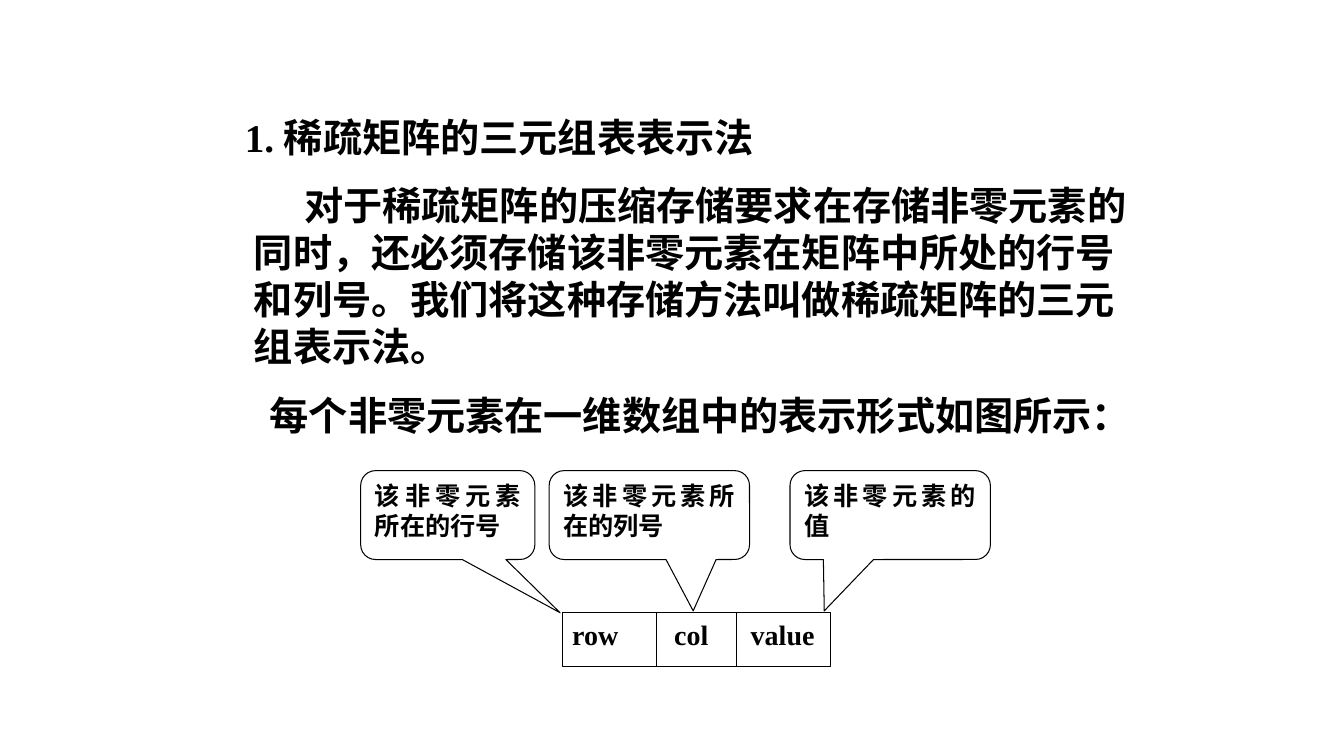
from lxml import etree
from pptx import Presentation
from pptx.dml.color import RGBColor
from pptx.enum.shapes import MSO_CONNECTOR, MSO_SHAPE
from pptx.enum.text import MSO_ANCHOR, PP_ALIGN
from pptx.oxml.ns import qn
from pptx.util import Cm, Pt

LEFT = PP_ALIGN.LEFT
JUSTIFY = PP_ALIGN.JUSTIFY
TOP = MSO_ANCHOR.TOP
RECTANGLE = MSO_SHAPE.RECTANGLE
CALLOUT = MSO_SHAPE.ROUNDED_RECTANGULAR_CALLOUT
STRAIGHT = MSO_CONNECTOR.STRAIGHT


def color(value):
    return RGBColor.from_string(value)


def write(frame, text, font="Times New Roman", size=28, bold=True, ink="000000",
          align=LEFT, indent=0, tabs=()):
    frame.word_wrap = True
    frame.vertical_anchor = TOP
    paragraph = frame.paragraphs[0]
    properties = paragraph._p.get_or_add_pPr()
    if indent:
        properties.set("indent", str(Cm(indent)))
    if tabs:
        tab_list = etree.SubElement(properties, qn("a:tabLst"))
        for position in tabs:
            etree.SubElement(tab_list, qn("a:tab"), pos=str(Cm(position)), algn="l")
    paragraph.alignment = align
    run = paragraph.add_run()
    run.text = text
    run.font.name = font
    run.font.size = Pt(size)
    run.font.bold = bold
    run.font.color.rgb = color(ink)


class SlideBuilder:
    ink = "000000"
    paper = "FFFFFF"
    line_width = 0.75

    def __init__(self, slide):
        self.slide = slide

    def text(self, left, top, width, height, text, **style):
        box = self.slide.shapes.add_textbox(Cm(left), Cm(top), Cm(width), Cm(height))
        write(box.text_frame, text, ink=self.ink, **style)

    def shape(self, kind, left, top, width, height, text, adjustments=(), **style):
        shape = self.slide.shapes.add_shape(kind, Cm(left), Cm(top), Cm(width), Cm(height))
        shape.shadow.inherit = False
        for index, value in enumerate(adjustments):
            shape.adjustments[index] = value
        shape.fill.solid()
        shape.fill.fore_color.rgb = color(self.paper)
        self.outline(shape)
        write(shape.text_frame, text, ink=self.ink, **style)

    def divider(self, left, top, height):
        connector = self.slide.shapes.add_connector(
            STRAIGHT, Cm(left), Cm(top), Cm(left), Cm(top + height))
        self.outline(connector)
        etree.SubElement(connector._element.spPr, qn("a:effectLst"))

    def outline(self, shape):
        shape.line.color.rgb = color(self.ink)
        shape.line.width = Pt(self.line_width)


def main():
    presentation = Presentation()
    presentation.slide_width = Cm(33.87)
    presentation.slide_height = Cm(19.05)
    builder = SlideBuilder(presentation.slides.add_slide(presentation.slide_layouts[6]))

    builder.text(5.92, 2.74, 22.86, 1.45, "1. 稀疏矩阵的三元组表表示法")
    builder.text(6.15, 4.45, 23.06, 5,
                 "对于稀疏矩阵的压缩存储要求在存储非零元素的同时，还必须存储该非零元素在矩阵中"
                 "所处的行号和列号。我们将这种存储方法叫做稀疏矩阵的三元组表示法。",
                 indent=1.27)

    record_top, record_height = 15.44, 1.35
    builder.shape(RECTANGLE, 14.17, record_top, 6.76, record_height,
                  "row\tcol\tvalue", size=20, tabs=(2.57, 4.5))
    for left in (16.54, 18.57):
        builder.divider(left, record_top, record_height)

    callouts = (
        (9.09, 4.39, "该非零元素所在的行号", 0.645, 1.099),
        (13.84, 5.05, "该非零元素所在的列号", 0.219, 1.078),
        (19.91, 5.05, "该非零元素的值", -0.329, 1.078),
    )
    for left, width, text, tip_x, tip_y in callouts:
        builder.shape(CALLOUT, left, 11.86, width, 2.24, text,
                      adjustments=(tip_x, tip_y, 0.167), size=18, align=JUSTIFY)

    builder.text(6.55, 9.73, 21.39, 1.45, "每个非零元素在一维数组中的表示形式如图所示：")
    presentation.save("out.pptx")


if __name__ == "__main__":
    main()
